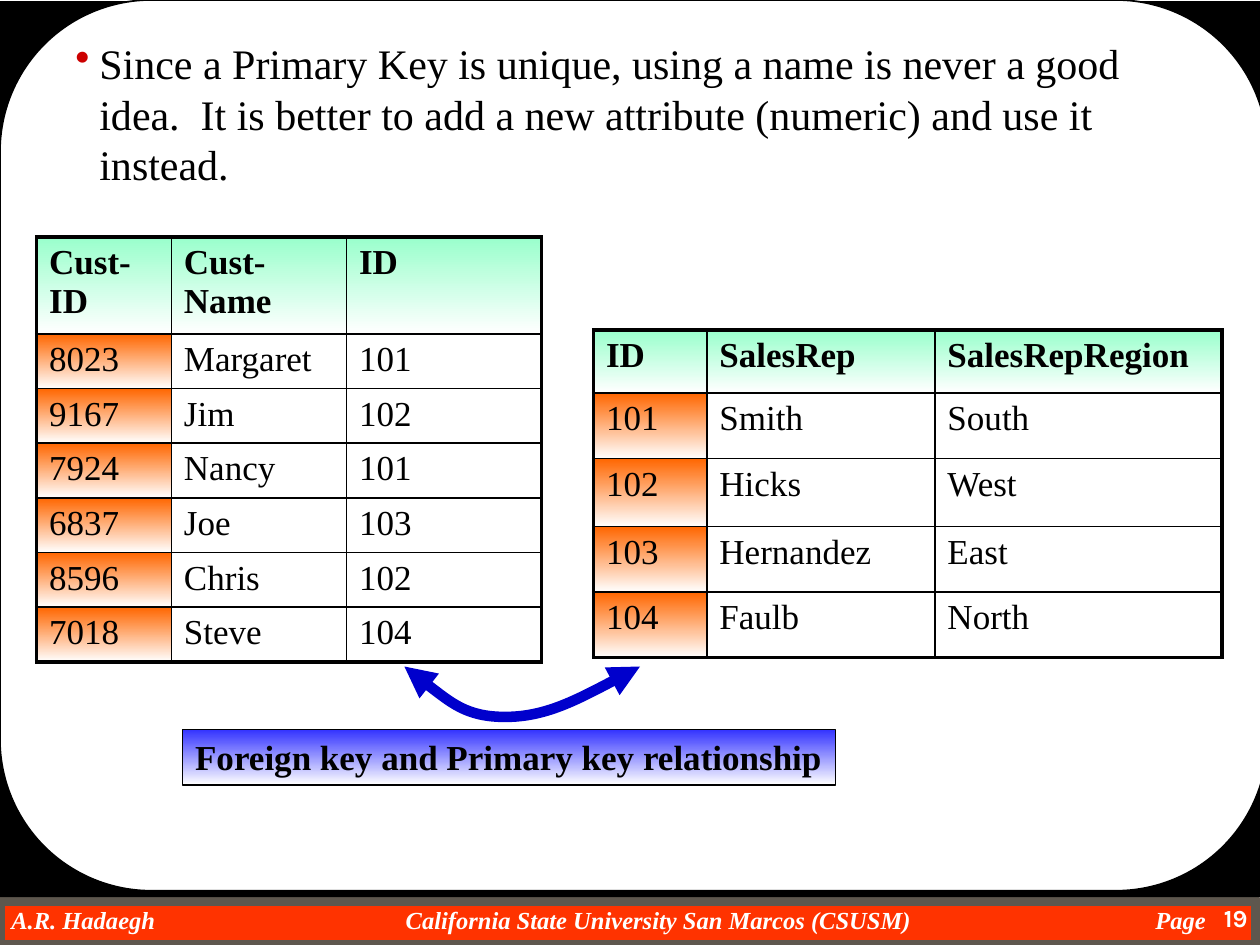
from dataclasses import dataclass
from typing import Any
from pptx import Presentation
from pptx.dml.color import RGBColor as Rgb
from pptx.enum.shapes import MSO_SHAPE as Kind
from pptx.enum.text import MSO_ANCHOR as Anchor, PP_ALIGN as Align
from pptx.oxml import parse_xml
from pptx.oxml.ns import nsdecls, qn
from pptx.util import Emu, Inches, Pt

HUE = {
    "ink": "000000", "paper": "FFFFFF", "bar": "FF3300", "edge": "5E574E",
    "dot": "CC0000", "mint": "99FFCC", "fire": "FF6600", "arc": "0000CC",
    "sky": "3333FF",
}
COLS, ROWS = 100, 75


def node(tag, attrs="", inner=""):
    return parse_xml(f"<a:{tag} {nsdecls('a')} {attrs}>{inner}</a:{tag}>")


@dataclass
class Board:
    deck: Any
    slide: Any
    font: str = "Times New Roman"

    def x(self, n):
        return Emu(round(self.deck.slide_width * n / COLS))

    def y(self, n):
        return Emu(round(self.deck.slide_height * n / ROWS))

    def place(self, box):
        left, top, wide, high = box
        return self.x(left), self.y(top), self.x(wide), self.y(high)

    def color(self, name):
        return Rgb.from_string(HUE[name])

    def fade(self, fill, name):
        fill.gradient()
        fill.gradient_angle = 270
        for stop, hue in zip(fill.gradient_stops, (name, "paper")):
            stop.color.rgb = self.color(hue)

    def shape(self, box, fill, line=None, width=1, kind=Kind.RECTANGLE, fade=False):
        item = self.slide.shapes.add_shape(kind, *self.place(box))
        item.shadow.inherit = False
        if fade:
            self.fade(item.fill, fill)
        else:
            item.fill.solid()
            item.fill.fore_color.rgb = self.color(fill)
        if line:
            item.line.color.rgb = self.color(line)
            item.line.width = Pt(width)
        else:
            item.line.fill.background()
        return item

    def say(self, para, text, size, hue="ink", bold=False, slant=False, font=None):
        run = para.add_run()
        run.text = text
        face = run.font
        face.name, face.size = font or self.font, Pt(size)
        face.bold, face.italic = bold, slant
        face.color.rgb = self.color(hue)

    def text(self, box, inset=True):
        frame = self.slide.shapes.add_textbox(*self.place(box)).text_frame
        frame.word_wrap = True
        if not inset:
            frame.margin_left = frame.margin_right = 0
            frame.margin_top = frame.margin_bottom = 0
        return frame.paragraphs[0]

    def tabs(self, para, stops):
        inner = "".join(f'<a:tab pos="{self.x(n)}" algn="l"/>' for n in stops)
        para._p.get_or_add_pPr().append(node("tabLst", "", inner))

    def bullet(self, para, indent):
        props = para._p.get_or_add_pPr()
        props.set("marL", str(self.x(indent)))
        props.set("indent", str(-self.x(indent)))
        props.append(node("buClr", "", f'<a:srgbClr val="{HUE["dot"]}"/>'))
        props.append(node("buChar", 'char="•"'))

    def border(self, cell, sides):
        for side, width in sides.items():
            inner = f'<a:solidFill><a:srgbClr val="{HUE["ink"]}"/></a:solidFill>'
            cell._tc.get_or_add_tcPr().append(
                node(f"ln{side}", f'w="{Pt(width)}"', inner))

    def table(self, left, top, cols, rows, data):
        box = left, top, sum(cols), sum(rows)
        grid = self.slide.shapes.add_table(
            len(rows), len(cols), *self.place(box)).table
        grid.first_row = grid.horz_banding = False
        for col, wide in zip(grid.columns, cols):
            col.width = self.x(wide)
        for row, high in zip(grid.rows, rows):
            row.height = self.y(high)
        for r, line in enumerate(data):
            for c, word in enumerate(line):
                cell = grid.cell(r, c)
                outer = {"L": c == 0, "R": c == len(cols) - 1,
                         "T": r == 0, "B": r == len(rows) - 1}
                self.border(cell, {k: 2.25 if v else 1 for k, v in outer.items()})
                if r == 0:
                    self.fade(cell.fill, "mint")
                elif c == 0:
                    self.fade(cell.fill, "fire")
                else:
                    cell.fill.background()
                self.say(cell.text_frame.paragraphs[0], word, 20, bold=r == 0)

    def curve(self, points, hue, width):
        spots = [(self.x(a), self.y(b)) for a, b in points]
        pen = self.slide.shapes.build_freeform(*spots[0])
        pen.add_line_segments(spots[1:], close=False)
        item = pen.convert_to_shape()
        item.shadow.inherit = False
        item.fill.background()
        item.line.color.rgb = self.color(hue)
        item.line.width = Pt(width)
        track = next(item._element.iter(qn("a:path")))
        steps = track.findall(qn("a:lnTo"))
        for i in range(0, len(steps), 3):
            bend = node("cubicBezTo")
            steps[i].addprevious(bend)
            for step in steps[i:i + 3]:
                bend.append(step[0])
                track.remove(step)
        for end in ("headEnd", "tailEnd"):
            item._element.spPr.find(qn("a:ln")).append(node(end, 'type="triangle"'))


def main():
    deck = Presentation()
    deck.slide_width, deck.slide_height = Inches(10), Inches(7.5)
    board = Board(deck, deck.slides.add_slide(deck.slide_layouts[6]))

    board.shape((0, 71.5, 99.7, 3.5), "bar", "edge", 6)
    foot = board.text((0.9, 71.8, 96, 2.3), inset=False)
    board.tabs(foot, (31.3, 90.8))
    for part in ("A.R. Hadaegh", "\tCalifornia State University San Marcos (CSUSM)", "\tPage"):
        board.say(foot, part, 14, "paper", bold=True, slant=True)

    board.shape((0, 0.1, 100, 71.1), "ink")
    panel = board.shape((0, 0, 100.6, 70.7), "paper", "ink", kind=Kind.ROUNDED_RECTANGLE)
    panel.adjustments[0] = 0.17

    page = board.text((92.5, 71.2, 7.5, 3.8))
    page.alignment = Align.RIGHT
    board.say(page, "19", 14, "paper", bold=True, font="Karla")

    note = board.text((5, 2.5, 91.8, 13))
    board.bullet(note, 1.9)
    note.line_spacing = Pt(28.8)
    board.say(note, "Since a Primary Key is unique, using a name is never a good idea.  "
              "It is better to add a new attribute (numeric) and use it instead.", 24)

    board.table(2.9, 18.8, (10.7, 13.9, 15.5), [7.7] + [4.33] * 6, [
        ("Cust-ID", "Cust-Name", "ID"),
        ("8023", "Margaret", "101"),
        ("9167", "Jim", "102"),
        ("7924", "Nancy", "101"),
        ("6837", "Joe", "103"),
        ("8596", "Chris", "102"),
        ("7018", "Steve", "104"),
    ])
    board.table(47.1, 26.2, (9, 18.1, 22.8), (5, 5.2, 5.4, 5.2, 5.2), [
        ("ID", "SalesRep", "SalesRepRegion"),
        ("101", "Smith", "South"),
        ("102", "Hicks", "West"),
        ("103", "Hernandez", "East"),
        ("104", "Faulb", "North"),
    ])

    board.curve([(50.8, 52.9), (47.1, 54.9), (43.3, 56.9), (40.1, 56.9),
                 (37, 56.9), (34.6, 54.9), (32.1, 52.9)], "arc", 6)

    label = board.shape((14.5, 57.9, 51.8, 4.4), "sky", "ink", 0.75, fade=True).text_frame
    label.word_wrap = False
    label.vertical_anchor = Anchor.TOP
    title = label.paragraphs[0]
    title.alignment = Align.LEFT
    board.say(title, "Foreign key and Primary key relationship", 20, bold=True)

    deck.save("out.pptx")


if __name__ == "__main__":
    main()
